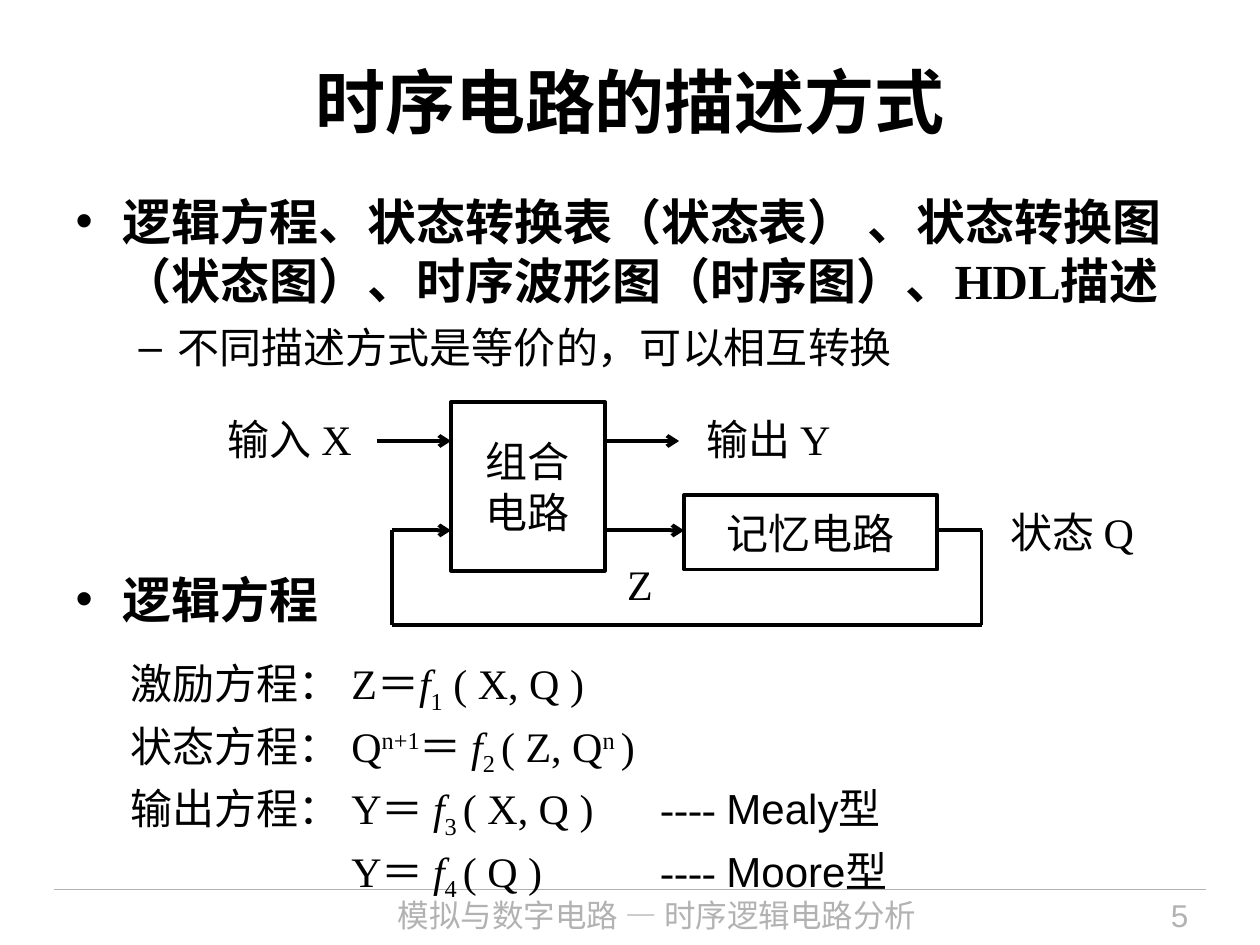
"""Build the slide on ways of describing sequential circuits."""
from lxml import etree
from pptx import Presentation, util as u
from pptx.dml.color import RGBColor
from pptx.enum import lang, shapes, text
from pptx.oxml.ns import qn

THEME = dict(ink="000000", muted="B2B2B2", serif="Times New Roman", sans="Arial",
             cjk="Noto Sans CJK SC", title=40, head=28, base=24, foot=18,
             rule=0.74, stroke=2.24)
W, H = 10, 7.5
TITLE = "时序电路的描述方式"
BODY = [
    ("逻辑方程、状态转换表（状态表） 、状态转换图（状态图）、时序波形图（时序图）、HDL描述", 0, 0, 7),
    ("不同描述方式是等价的，可以相互转换", 1, 0, 6),
    ("逻辑方程", 0, 107, 7),
]
EQUATIONS = [
    [("激励方程：", "cjk"), ("\tZ＝", ""), ("f", "i"), ("1", "sub"), (" ( X, Q )", "")],
    [("状态方程：", "sans"), ("\tQ", ""), ("n+1", "sup"), ("＝ ", ""), ("f", "i"),
     ("2 ", "sub"), ("( Z, Q", ""), ("n ", "sup"), (")", "")],
    [("输出方程：", "sans"), ("\tY＝ ", ""), ("f", "i"), ("3 ", "sub"),
     ("( X, Q )\t---- ", ""), ("Mealy型", "sans")],
    [("\tY＝ ", ""), ("f", "i"), ("4 ", "sub"), ("( Q )\t---- ", ""), ("Moore型", "sans")],
]
EQUATION_TABS = (1.75, 4.2)
BASELINE = {"sub": "-25000", "sup": "30000"}

LOGIC = (3.58, 3.19, 1.22, 1.34)
MEMORY = (5.43, 3.93, 2.01, 0.59)
LOGIC_END, MEMORY_END = LOGIC[0] + LOGIC[2], MEMORY[0] + MEMORY[2]
IO_Y, STATE_Y, LOOP_Y = 3.5, 4.21, 4.96
LOOP_LEFT, LOOP_RIGHT, ARROW = 3.11, 7.79, 0.59
BLOCKS = [("组合\n电路", LOGIC), ("记忆电路", MEMORY)]
LABELS = [("输入 X", (1.65, 3.08, 1.3, 0.8)), ("输出 Y", (5.47, 3.08, 1.26, 0.8)),
          ("状态 Q", (7.88, 3.82, 1.26, 0.8)), ("Z", (4.88, 4.38, 0.4, 0.5))]
WIRES = [
    (LOGIC[0] - ARROW, IO_Y, LOGIC[0], IO_Y, True),
    (LOGIC_END, IO_Y, LOGIC_END + ARROW, IO_Y, True),
    (LOGIC_END, STATE_Y, MEMORY[0], STATE_Y, True),
    (LOOP_LEFT, STATE_Y, LOGIC[0], STATE_Y, True),
    (MEMORY_END, STATE_Y, LOOP_RIGHT, STATE_Y, False),
    (LOOP_RIGHT, STATE_Y, LOOP_RIGHT, LOOP_Y, False),
    (LOOP_LEFT, LOOP_Y, LOOP_RIGHT, LOOP_Y, False),
    (LOOP_LEFT, STATE_Y, LOOP_LEFT, LOOP_Y, False),
]
FOOTER = [("模拟与数字电路 — 时序逻辑电路分析", (2.4, 7.06, 5.63, 0.44), "cjk", "CENTER"),
          ("5", (8.2, 7.06, 1.33, 0.44), "sans", "RIGHT")]


def rgb(name):
    return RGBColor.from_string(THEME[name])


def inches(box):
    return [u.Inches(v) for v in box]


def style(r, face="serif", size="base", color="ink", bold=False):
    f = r.font
    f.name, f.size, f.bold = THEME[face], u.Pt(THEME[size]), bold
    f.color.rgb = rgb(color)
    f.language_id = lang.MSO_LANGUAGE_ID.SIMPLIFIED_CHINESE


def write(sp, words, align="CENTER", inset=None, wrap=True, **look):
    tf = sp.text_frame
    tf.text, tf.word_wrap = words, wrap
    if inset is not None:
        tf.margin_left = tf.margin_right = tf.margin_top = tf.margin_bottom = inset
        tf.vertical_anchor = text.MSO_ANCHOR.MIDDLE
    for p in tf.paragraphs:
        p.alignment = getattr(text.PP_ALIGN, align)
        for r in p.runs:
            style(r, **look)


def wire(parent, x1, y1, x2, y2, arrow=False, color="ink", width="stroke"):
    c = parent.add_connector(shapes.MSO_CONNECTOR.STRAIGHT, *inches((x1, y1, x2, y2)))
    c.line.color.rgb, c.line.width = rgb(color), u.Pt(THEME[width])
    if arrow:
        etree.SubElement(c.line._get_or_add_ln(), qn("a:tailEnd"), type="arrow")
    etree.SubElement(c._element.spPr, qn("a:effectLst"))


def place(sp, box):
    sp.left, sp.top, sp.width, sp.height = inches(box)


def add_body(sp):
    place(sp, (0.5, 1.47, 9, 5.51))
    tf = sp.text_frame
    tf.text = "\n".join(row[0] for row in BODY)
    tf.auto_size = text.MSO_AUTO_SIZE.NONE
    for p, (_, level, before, after) in zip(tf.paragraphs, BODY):
        p.level, p.space_before, p.space_after = level, u.Pt(before), u.Pt(after)
        for r in p.runs:
            style(r, size="base" if level else "head", bold=not level)


def add_diagram(s):
    g = s.shapes.add_group_shape().shapes
    for words, box in BLOCKS:
        sp = g.add_shape(shapes.MSO_SHAPE.RECTANGLE, *inches(box))
        sp.shadow.inherit = False
        sp.fill.background()
        sp.line.color.rgb, sp.line.width = rgb("ink"), u.Pt(THEME["stroke"])
        write(sp, words, inset=0, wrap=False, face="sans")
    for ends in WIRES:
        wire(g, *ends)
    for words, box in LABELS:
        write(g.add_textbox(*inches(box)), words, inset=0, wrap=False)


def add_equations(s):
    tf = s.shapes.add_textbox(*inches((0.94, 5.17, 7.91, 1.93))).text_frame
    tf.word_wrap = True
    for i, row in enumerate(EQUATIONS):
        p = tf.add_paragraph() if i else tf.paragraphs[0]
        p.space_before = u.Pt(3)
        tabs = etree.SubElement(p._p.get_or_add_pPr(), qn("a:tabLst"))
        for stop in EQUATION_TABS:
            etree.SubElement(tabs, qn("a:tab"), pos=str(u.Inches(stop)), algn="l")
        for words, kind in row:
            r = p.add_run()
            r.text = words
            style(r, face=kind if kind in ("cjk", "sans") else "serif")
            if kind == "i":
                r.font.italic = True
            if kind in BASELINE:
                r._r.get_or_add_rPr().set("baseline", BASELINE[kind])


def main():
    prs = Presentation()
    prs.slide_width, prs.slide_height = inches((W, H))
    s = prs.slides.add_slide(prs.slide_layouts[1])
    wire(s.shapes, 0.43, 7.06, W - 0.43, 7.06, color="muted", width="rule")
    for words, box, face, align in FOOTER:
        write(s.shapes.add_textbox(*inches(box)), words, align,
              face=face, size="foot", color="muted")
    title = s.shapes.title
    place(title, (0.5, 0.17, 9, 1.25))
    write(title, TITLE, size="title", bold=True)
    add_body(s.placeholders[1])
    add_diagram(s)
    add_equations(s)
    prs.save("out.pptx")


main()
